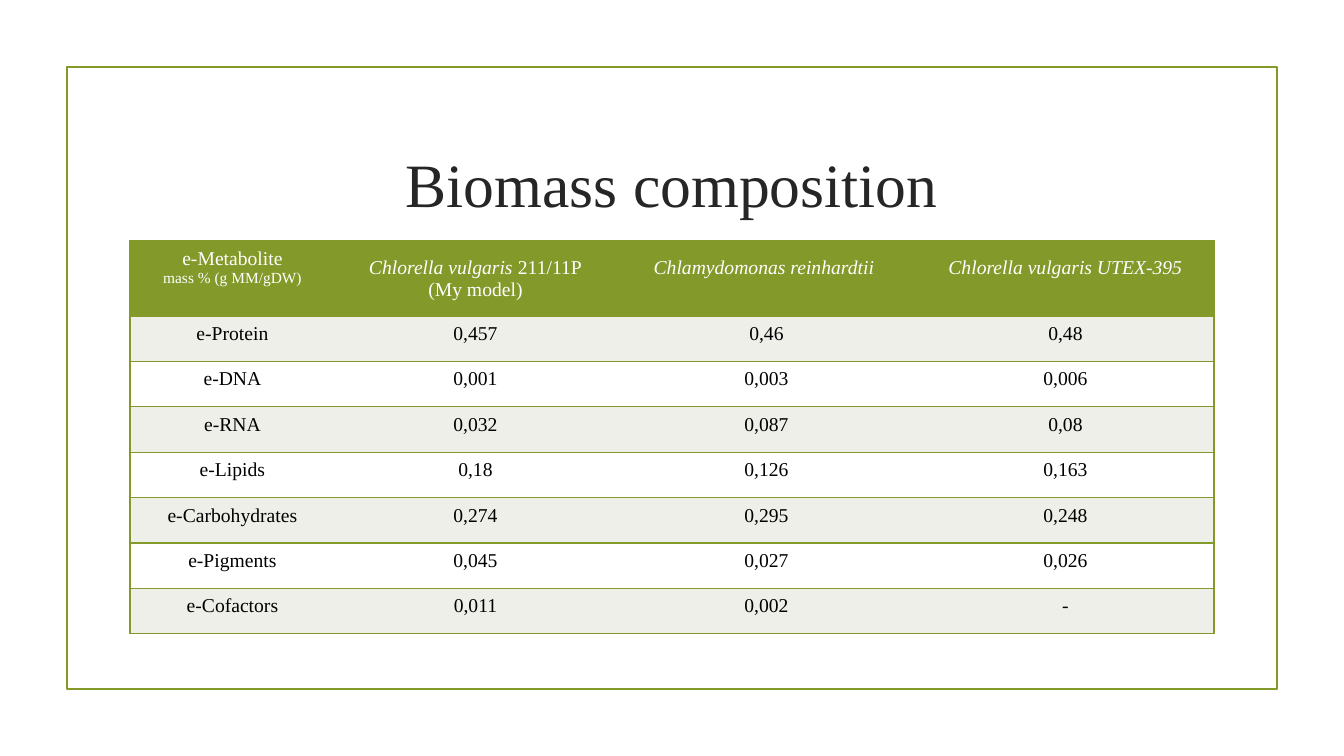
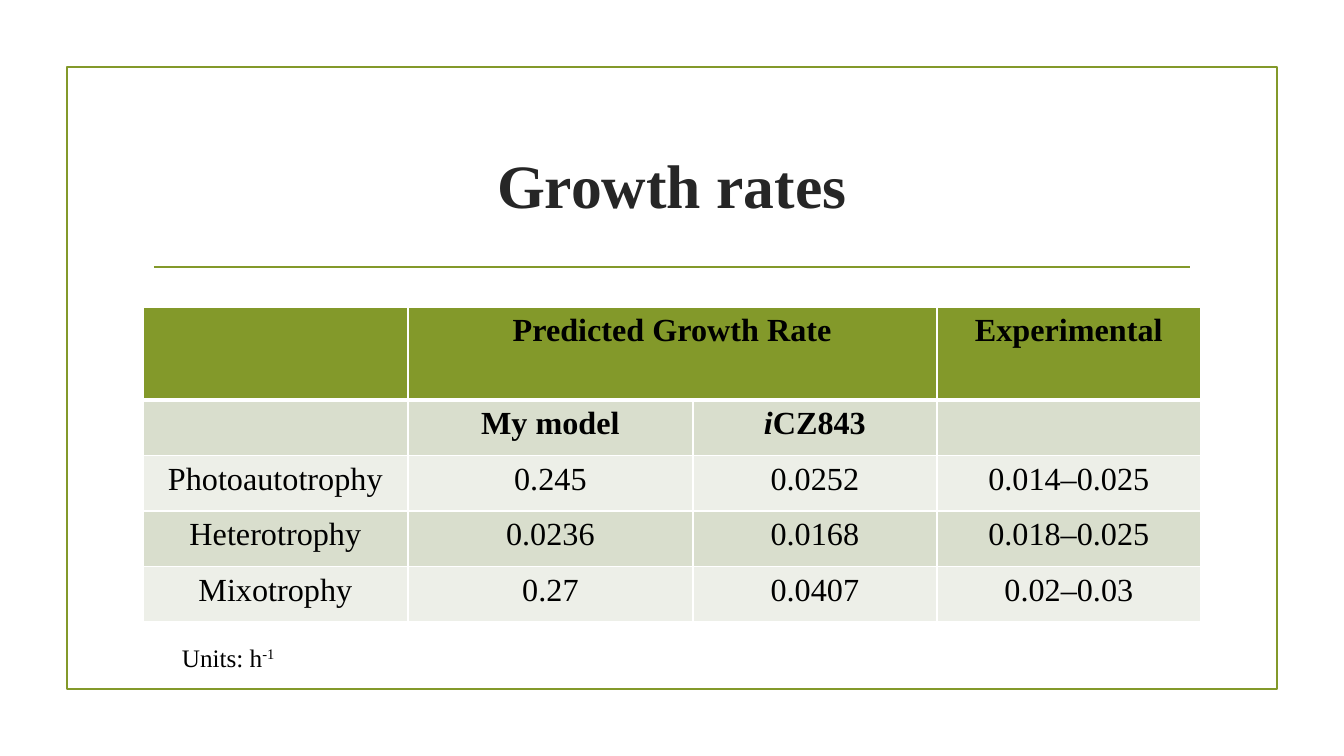
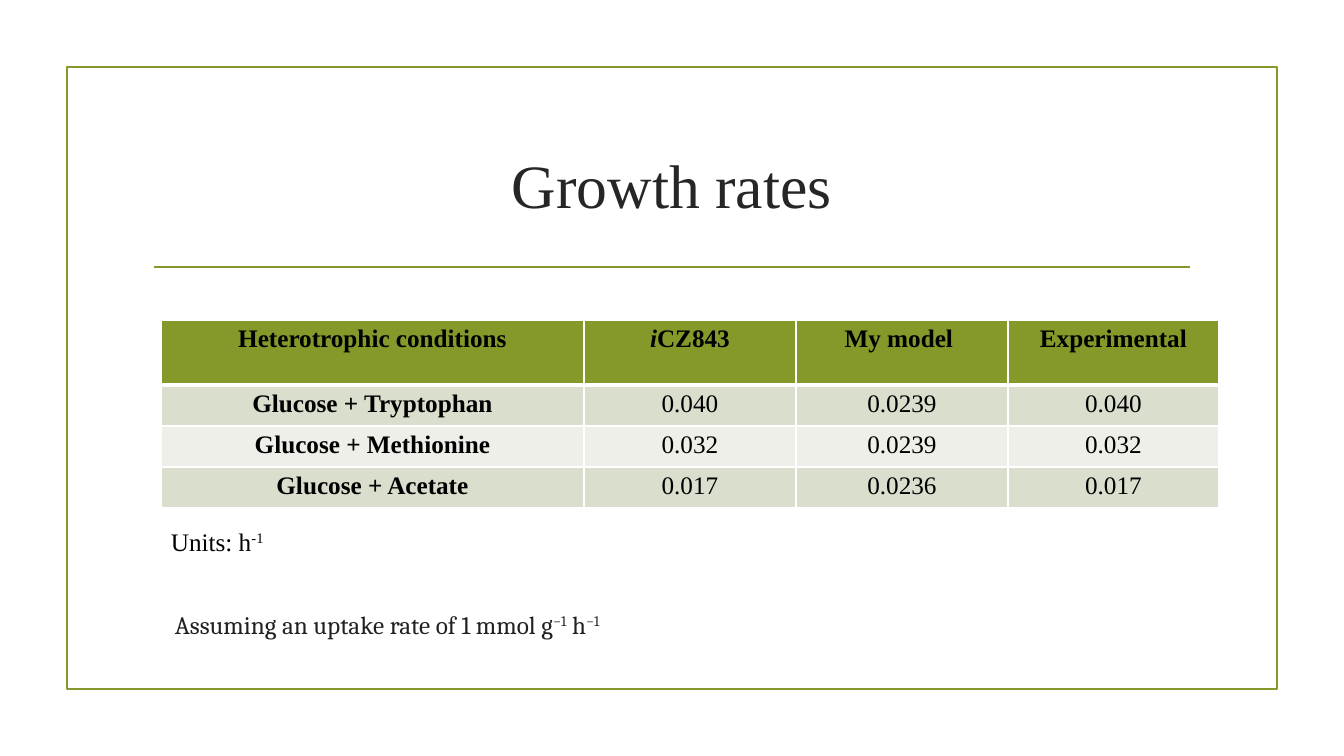
"""Build three slides with biomass and growth rate tables."""
from dataclasses import dataclass

from lxml.etree import SubElement
from pptx import Presentation
from pptx.dml.color import RGBColor
from pptx.enum.shapes import MSO_CONNECTOR as Connector, MSO_SHAPE as Shape
from pptx.enum.text import MSO_ANCHOR as Anchor, MSO_AUTO_SIZE as AutoSize, PP_ALIGN as Align
from pptx.oxml import parse_xml
from pptx.oxml.ns import nsdecls, qn
from pptx.util import Emu, Pt

EMU_PER_PX = 914400 / 100.8
SLIDE_SIZE = (1344, 756)
FRAME = (67, 67, 1210, 622)
RULE = (154, 267, 1190, 267)
TITLE_LEFT, TITLE_WIDTH, TITLE_HEIGHT = 143, 1058, 144
SERIF = "Times New Roman"
GREEN, SAGE, PALE, WHITE = "83992A", "D9DECD", "EDEFE8", "FFFFFF"
BLACK, TITLE_INK, NOTE_INK = "000000", "262626", "212121"
PLAIN_TABLE_STYLE = "{2D5ABB26-0587-4C30-8999-92F81FD0307C}"


@dataclass
class Run:
    text: str
    bold: bool = False
    italic: bool = False
    raised: bool = False
    size: int = 0


def bold(text):
    return Run(text, bold=True)


def italic(text):
    return Run(text, italic=True)


def raised(text):
    return Run(text, raised=True)


KNOWN_MODEL = [[Run("i", bold=True, italic=True), bold("CZ843")]]
UNITS = [[Run("Units: h"), raised("-1")]]
UPTAKE = [[Run("Assuming an uptake rate of 1 mmol g"), raised("−1"), Run(" h"), raised("−1")]]

BIOMASS_ROWS = [
    [
        [[Run("e-Metabolite")], [Run("mass % (g MM/gDW)", size=11)]],
        [[italic("Chlorella vulgaris "), Run("211/11P")], [Run("(My model)")]],
        italic("Chlamydomonas reinhardtii "),
        italic("Chlorella vulgaris UTEX-395"),
    ],
    ["e-Protein", "0,457", "0,46", "0,48"],
    ["e-DNA", "0,001", "0,003", "0,006"],
    ["e-RNA", "0,032", "0,087", "0,08"],
    ["e-Lipids", "0,18", "0,126", "0,163"],
    ["e-Carbohydrates", "0,274", "0,295", "0,248"],
    ["e-Pigments", "0,045", "0,027", "0,026"],
    ["e-Cofactors", "0,011", "0,002", "-"],
]
GROWTH_ROWS = [
    ["", bold("Predicted Growth Rate"), "", bold("Experimental")],
    ["", bold("My model"), KNOWN_MODEL, ""],
    ["Photoautotrophy", "0.245", "0.0252", "0.014–0.025"],
    ["Heterotrophy", "0.0236", "0.0168", "0.018–0.025"],
    ["Mixotrophy", "0.27", "0.0407", "0.02–0.03"],
]
HETEROTROPHIC_ROWS = [
    [bold("Heterotrophic conditions"), KNOWN_MODEL, bold("My model "), bold("Experimental")],
    [bold("Glucose + Tryptophan"), "0.040", "0.0239", "0.040"],
    [bold("Glucose + Methionine"), "0.032", "0.0239", "0.032"],
    [bold("Glucose + Acetate"), "0.017", "0.0236", "0.017"],
]

SLIDES = [
    {
        "title": Run("Biomass composition"), "title_top": 107, "rule": False,
        "table": {
            "rows": BIOMASS_ROWS, "at": (130, 241), "widths": (203, 283, 299, 299),
            "header_height": 75, "body_height": 318, "insets": (9, 7, 7, 7), "size": 14,
            "header_ink": WHITE, "header_tops": (7, 16, 16, 16),
            "bands": (PALE, WHITE), "outlined": True, "merges": [],
        },
        "notes": [],
    },
    {
        "title": bold("Growth rates"), "title_top": 108, "rule": True,
        "table": {
            "rows": GROWTH_ROWS, "at": (143, 307), "widths": (265, 285, 244, 264),
            "header_height": 93, "body_height": 222, "insets": (12, 6, 12, 6), "size": 23,
            "header_ink": BLACK, "header_tops": (6, 6, 6, 6),
            "bands": (SAGE, PALE), "outlined": False, "merges": [(0, 1, 0, 2)],
        },
        "notes": [(UNITS, (172, 637, 224, 40), SERIF, BLACK)],
    },
    {
        "title": Run("Growth rates"), "title_top": 108, "rule": True,
        "table": {
            "rows": HETEROTROPHIC_ROWS, "at": (161, 320), "widths": (423, 212, 212, 211),
            "header_height": 65, "body_height": 123, "insets": (10, 5, 10, 5), "size": 18,
            "header_ink": BLACK, "header_tops": (5, 5, 5, 5),
            "bands": (SAGE, PALE), "outlined": False, "merges": [],
        },
        "notes": [
            (UNITS, (161, 521, 224, 40), SERIF, BLACK),
            (UPTAKE, (165, 604, 491, 40), "Cambria", NOTE_INK),
        ],
    },
]


def px(length):
    return Emu(round(length * EMU_PER_PX))


def box(*lengths):
    return [px(length) for length in lengths]


def color(value):
    return RGBColor.from_string(value)


def as_lines(content):
    if isinstance(content, str):
        content = Run(content)
    return [[content]] if isinstance(content, Run) else content


def write(frame, content, size, ink, font=SERIF, align=Align.CENTER):
    for index, line in enumerate(as_lines(content)):
        paragraph = frame.add_paragraph() if index else frame.paragraphs[0]
        paragraph.alignment = align
        for part in line:
            if not part.text:
                continue
            run = paragraph.add_run()
            run.text = part.text
            run.font.name = font
            run.font.size = Pt(part.size or size)
            run.font.bold = part.bold
            run.font.italic = part.italic
            run.font.color.rgb = color(ink)
            if part.raised:
                run.font._element.set("baseline", "30000")


def set_line(line):
    line.color.rgb = color(GREEN)
    line.width = Pt(1.25)


def add_frame(slide, with_rule):
    frame = slide.shapes.add_shape(Shape.RECTANGLE, *box(*FRAME))
    frame.shadow.inherit = False
    frame.fill.background()
    set_line(frame.line)
    if with_rule:
        rule = slide.shapes.add_connector(Connector.STRAIGHT, *box(*RULE))
        set_line(rule.line)
        SubElement(rule._element.spPr, qn("a:effectLst"))


def add_title(slide, title, top):
    shape = slide.shapes.title
    shape.left, shape.top, shape.width, shape.height = box(
        TITLE_LEFT, top, TITLE_WIDTH, TITLE_HEIGHT)
    frame = shape.text_frame
    frame.auto_size = AutoSize.NONE
    frame.vertical_anchor = Anchor.MIDDLE
    frame.margin_top = px(12)
    write(frame, title, 44, TITLE_INK)


def set_borders(cell, borders):
    properties = cell._tc.get_or_add_tcPr()
    for index, (side, ink, width) in enumerate(borders):
        properties.insert(index, parse_xml(
            f'<a:ln{side} {nsdecls("a")} w="{Pt(width)}"><a:solidFill>'
            f'<a:srgbClr val="{ink}"/></a:solidFill></a:ln{side}>'))


def borders_for(row, column, last_column, outlined):
    if outlined:
        sides = ("L" if column == 0 else "") + ("R" if column == last_column else "") + "TB"
        return [(side, GREEN, 1) for side in sides]
    heavy = {(0, "B"), (1, "T")}
    return [(side, WHITE, 3 if (row, side) in heavy else 1) for side in "LRTB"]


def add_table(slide, spec_table):
    rows, widths = spec_table["rows"], spec_table["widths"]
    height = spec_table["header_height"] + spec_table["body_height"]
    table = slide.shapes.add_table(
        len(rows), len(widths), *box(*spec_table["at"], sum(widths), height)).table
    table._tbl.tblPr.find(qn("a:tableStyleId")).text = PLAIN_TABLE_STYLE
    for column, width in zip(table.columns, widths):
        column.width = px(width)
    for row in table.rows:
        row.height = px(spec_table["body_height"] / (len(rows) - 1))
    table.rows[0].height = px(spec_table["header_height"])
    for first_row, first_column, last_row, last_column in spec_table["merges"]:
        table.cell(first_row, first_column).merge(table.cell(last_row, last_column))

    left, top, right, bottom = spec_table["insets"]
    for row, contents in enumerate(rows):
        for column, content in enumerate(contents):
            cell = table.cell(row, column)
            cell_top = top if row else spec_table["header_tops"][column]
            cell.margin_left, cell.margin_top, cell.margin_right, cell.margin_bottom = box(
                left, cell_top, right, bottom)
            cell.vertical_anchor = Anchor.TOP
            cell.fill.solid()
            cell.fill.fore_color.rgb = color(spec_table["bands"][(row - 1) % 2] if row else GREEN)
            set_borders(cell, borders_for(row, column, len(widths) - 1, spec_table["outlined"]))
            ink = BLACK if row else spec_table["header_ink"]
            write(cell.text_frame, content, spec_table["size"], ink)


def add_note(slide, content, place, font, ink):
    frame = slide.shapes.add_textbox(*box(*place)).text_frame
    frame.word_wrap = True
    frame.auto_size = AutoSize.SHAPE_TO_FIT_TEXT
    write(frame, content, 18, ink, font, Align.LEFT)


def main():
    presentation = Presentation()
    presentation.slide_width, presentation.slide_height = box(*SLIDE_SIZE)
    title_only = presentation.slide_layouts[5]
    for content in SLIDES:
        slide = presentation.slides.add_slide(title_only)
        add_frame(slide, content["rule"])
        add_title(slide, content["title"], content["title_top"])
        add_table(slide, content["table"])
        for note in content["notes"]:
            add_note(slide, *note)
    presentation.save("out.pptx")


if __name__ == "__main__":
    main()
